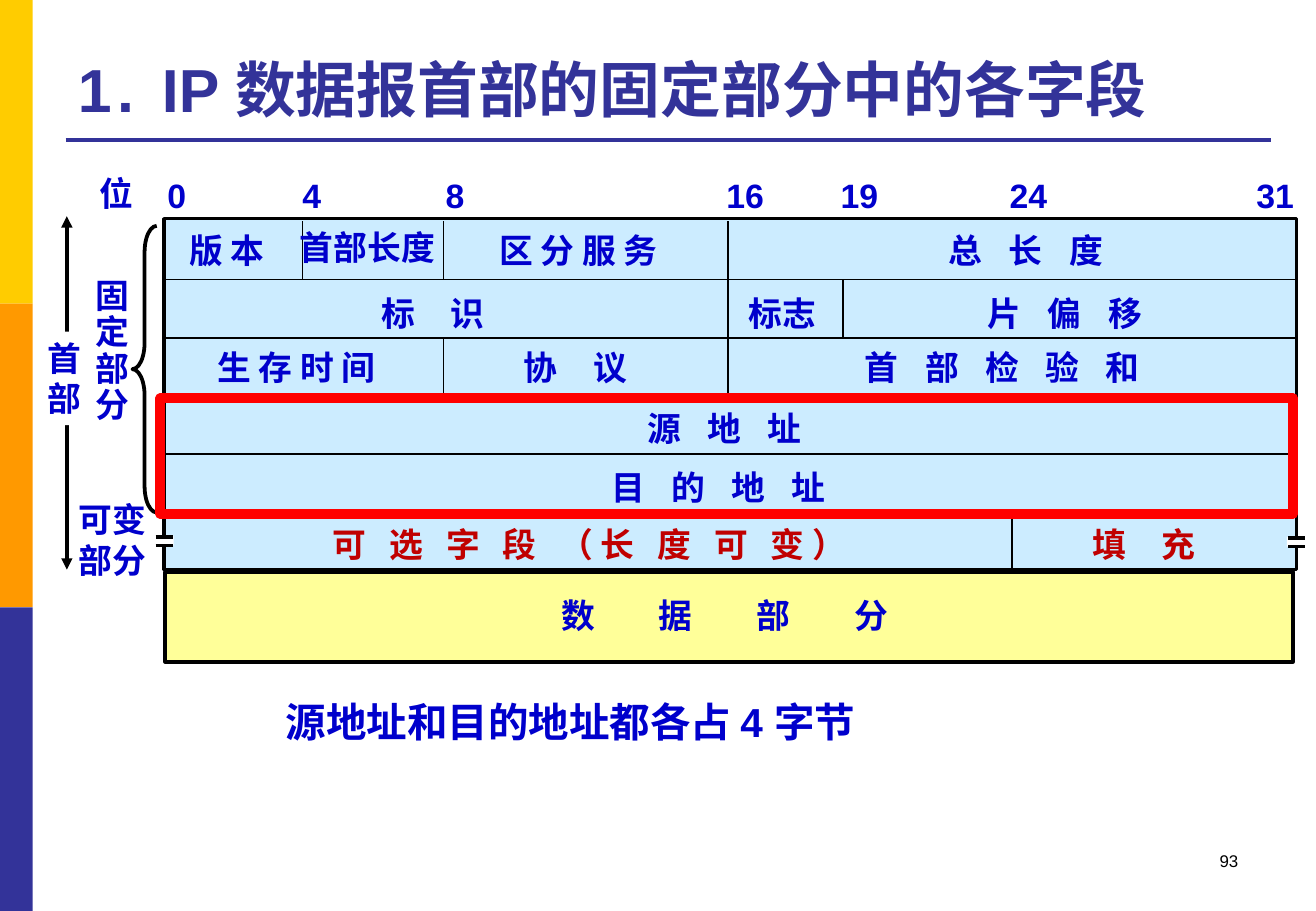
from dataclasses import dataclass

from lxml.etree import SubElement
from pptx import Presentation
from pptx.dml.color import RGBColor
from pptx.enum.shapes import MSO_CONNECTOR, MSO_SHAPE
from pptx.enum.text import MSO_ANCHOR, MSO_AUTO_SIZE, PP_ALIGN
from pptx.oxml.ns import qn
from pptx.util import Inches, Pt


@dataclass(frozen=True)
class Theme:
    font: str = "Arial"
    yellow: str = "FFCC00"
    orange: str = "FF9900"
    indigo: str = "333399"
    blue: str = "0000CC"
    crimson: str = "C00000"
    red: str = "FF0000"
    header: str = "CCECFF"
    data: str = "FFFF99"
    white: str = "FFFFFF"
    black: str = "000000"
    title: int = 36
    caption: int = 24
    label: int = 20
    number: int = 10


def assign(target, values):
    for name, value in values.items():
        setattr(target, name, value)


class SlideBuilder:
    def __init__(self, deck, theme):
        self.theme = theme
        self.page = deck.slides.add_slide(deck.slide_layouts[5])

    def add_paras(self, shape, paras, size, color, bold=True, **layout):
        frame = shape.text_frame
        for index, spans in enumerate(paras):
            para = frame.paragraphs[0] if index == 0 else frame.add_paragraph()
            assign(para, {"alignment": PP_ALIGN.LEFT, **layout})
            for text, spacing in spans:
                span = para.add_run()
                span.text = text
                assign(span.font, {"name": self.theme.font, "size": Pt(size), "bold": bold})
                span.font.color.rgb = RGBColor.from_string(color)
                if spacing:
                    span.font._element.set("spc", str(round(spacing * 100)))

    def title(self, place, spans):
        shape = self.page.shapes.title
        assign(shape, dict(zip(("left", "top", "width", "height"), map(Inches, place))))
        assign(shape.text_frame, {
            "word_wrap": True,
            "auto_size": MSO_AUTO_SIZE.NONE,
            "vertical_anchor": MSO_ANCHOR.BOTTOM,
        })
        self.add_paras(shape, [spans], self.theme.title, self.theme.indigo)

    def shape(self, place, fill=None, line=None, weight=1, kind=MSO_SHAPE.RECTANGLE):
        shape = self.page.shapes.add_shape(kind, *map(Inches, place))
        shape.shadow.inherit = False
        if fill:
            shape.fill.solid()
            shape.fill.fore_color.rgb = RGBColor.from_string(fill)
        else:
            shape.fill.background()
        if line:
            shape.line.color.rgb = RGBColor.from_string(line)
            shape.line.width = Pt(weight)
        else:
            shape.line.fill.background()
        return shape

    def line(self, start, end, weight=1, color=None, arrows=False):
        ends = map(Inches, (*start, *end))
        line = self.page.shapes.add_connector(MSO_CONNECTOR.STRAIGHT, *ends)
        line.line.color.rgb = RGBColor.from_string(color or self.theme.black)
        line.line.width = Pt(weight)
        if arrows:
            for tag in ("a:headEnd", "a:tailEnd"):
                SubElement(line.line._get_or_add_ln(), qn(tag), type="triangle")
        SubElement(line._element.spPr, qn("a:effectLst"))

    def text(self, place, paras, size=None, color=None, spacing=0, wrap=False, **layout):
        box = self.page.shapes.add_textbox(*map(Inches, place))
        assign(box.text_frame, {"word_wrap": wrap, "auto_size": MSO_AUTO_SIZE.NONE})
        self.add_paras(box, [[(para, spacing)] for para in paras],
                       size or self.theme.label, color or self.theme.blue, **layout)

    def break_mark(self, left, top):
        self.shape((left, top, 0.16, 0.08), self.theme.white)
        for level in (top + 0.01, top + 0.08):
            self.line((left + 0.01, level), (left + 0.15, level), 2)


def main():
    theme = Theme()
    deck = Presentation()
    assign(deck, {"slide_width": Inches(10.83), "slide_height": Inches(7.5)})
    slide = SlideBuilder(deck, theme)

    for index, color in enumerate((theme.yellow, theme.orange, theme.indigo)):
        slide.shape((0, 2.5 * index, 0.27, 2.5), color)
    slide.line((0.54, 1.15), (10.46, 1.15), 2.25, theme.indigo)
    slide.title((0.54, 0.21, 9.91, 0.87),
                [("1. ", 3.3), ("IP 数据报首部的固定部分中的各字段", 0)])

    slide.shape((1.35, 1.8, 9.32, 2.89), theme.header, theme.black, 2)
    slide.shape((1.36, 4.71, 9.28, 0.74), theme.data, theme.black, 2.25)

    first_row, row_height = 1.82, 0.48
    row_edges = [first_row + row_height * row for row in range(7)]
    for edge in row_edges[1:6]:
        slide.line((1.34, edge), (10.68, edge))
    dividers = [(2.49, 0, 1), (3.65, 0, 1), (3.65, 2, 3),
                (5.99, 0, 3), (6.94, 1, 2), (8.33, 5, 6)]
    for left, start, end in dividers:
        slide.line((left, row_edges[start]), (left, row_edges[end]))

    bits = {"0": 1.28, "4": 2.39, "8": 3.57, "16": 5.88,
            "19": 6.82, "24": 8.21, "31": 10.24}
    for bit, left in bits.items():
        slide.text((left, 1.39, 0.21 + 0.15 * len(bit), 0.43), [bit])
    slide.text((0.72, 1.37, 0.48, 0.43), ["位"])

    narrow, wide, widest = 5.56, 8.34, 16.68
    fields = [
        ("版 本", 1.46, 1.84, 0.84, 0, theme.blue),
        ("首部长度", 2.37, 1.82, 1.32, 0, theme.blue),
        ("区 分 服 务", 4.01, 1.84, 1.56, 0, theme.blue),
        ("总 长 度", 7.71, 1.84, 1.51, narrow, theme.blue),
        ("标 识", 3.04, 2.36, 1.07, wide, theme.blue),
        ("标志", 6.06, 2.36, 0.76, 0, theme.blue),
        ("片 偏 移", 8.03, 2.36, 1.51, narrow, theme.blue),
        ("生 存 时 间", 1.69, 2.81, 1.56, 0, theme.blue),
        ("协 议", 4.21, 2.81, 1.07, wide, theme.blue),
        ("首 部 检 验 和", 7.02, 2.81, 2.54, narrow, theme.blue),
        ("源 地 址", 5.23, 3.31, 1.51, narrow, theme.blue),
        ("目 的 地 址", 4.93, 3.79, 2.02, narrow, theme.blue),
        ("可 选 字 段 （长 度 可 变）", 2.64, 4.26, 4.56, 4.5, theme.crimson),
        ("填 充", 8.89, 4.26, 1.07, wide, theme.crimson),
        ("数 据 部 分", 4.52, 4.85, 2.7, widest, theme.blue),
    ]
    for name, left, top, width, spacing, color in fields:
        slide.text((left, top, width + spacing / 72, 0.43), [name], color=color, spacing=spacing)

    slide.break_mark(1.27, 4.41)
    slide.break_mark(10.59, 4.42)

    slide.line((0.55, 1.78), (0.55, 4.69), 2.25, arrows=True)
    slide.shape((0.29, 2.73, 0.48, 0.77), theme.white)
    slide.text((0.29, 2.73, 0.48, 0.77), "首部")
    slide.text((0.69, 2.25, 0.48, 1.31), "固定部分", line_spacing=0.9)
    slide.text((0.55, 4.06, 0.76, 0.77), ["可变", "部分"])
    brace = slide.shape((1.09, 1.86, 0.2, 2.36), line=theme.black, weight=2.25,
                        kind=MSO_SHAPE.LEFT_BRACE)
    brace.adjustments[0] = 1.08
    brace.adjustments[1] = 0.5

    slide.shape((1.32, 3.28, 9.32, 0.95), line=theme.red, weight=6)
    slide.text((2.21, 5.69, 4.97, 0.51), ["源地址和目的地址都各占 4 字节"],
               theme.caption, wrap=True, alignment=PP_ALIGN.CENTER)
    slide.text((7.76, 6.95, 2.53, 0.5), ["93"], theme.number, theme.black,
               wrap=True, bold=False, alignment=PP_ALIGN.RIGHT)
    deck.save("out.pptx")


if __name__ == "__main__":
    main()
